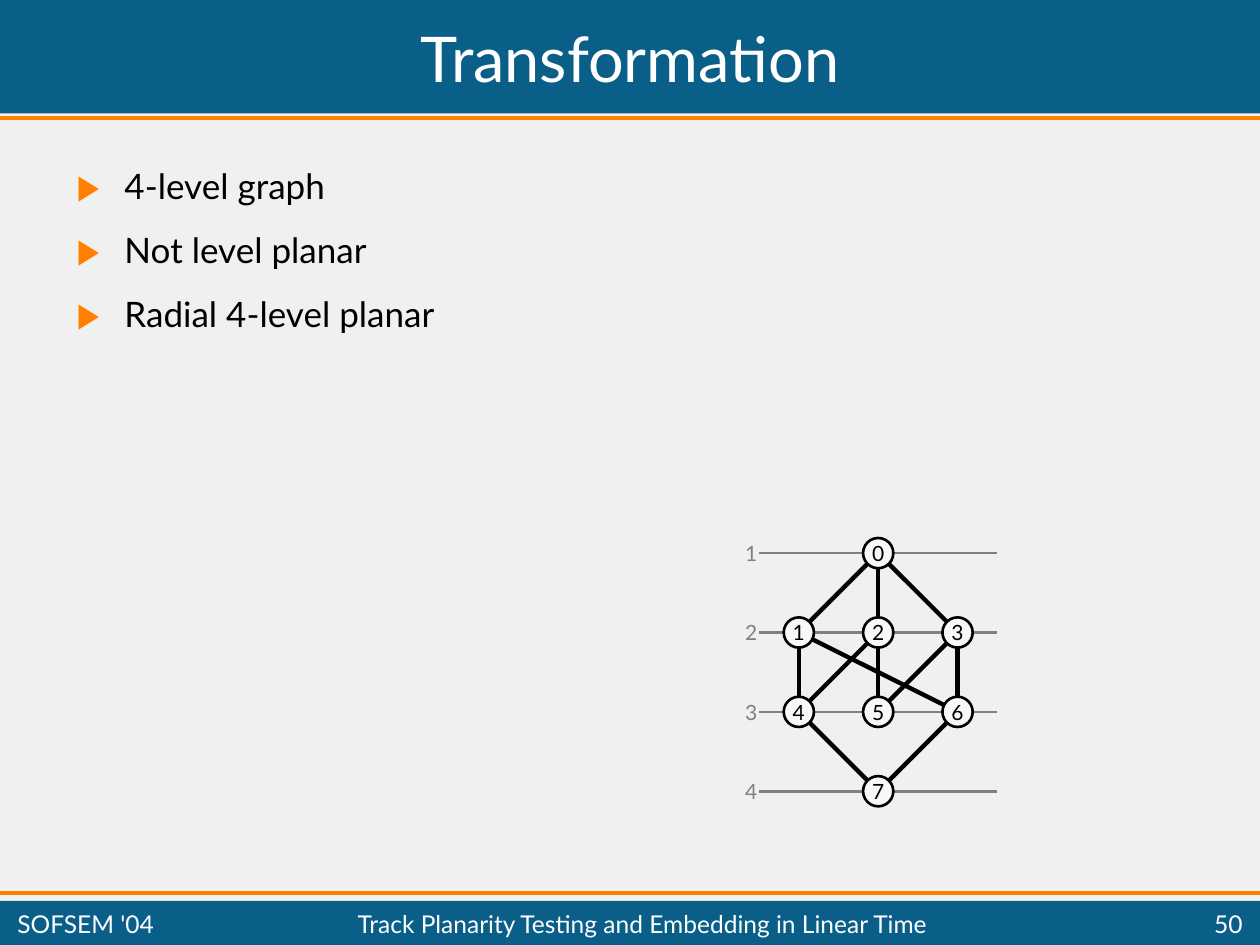
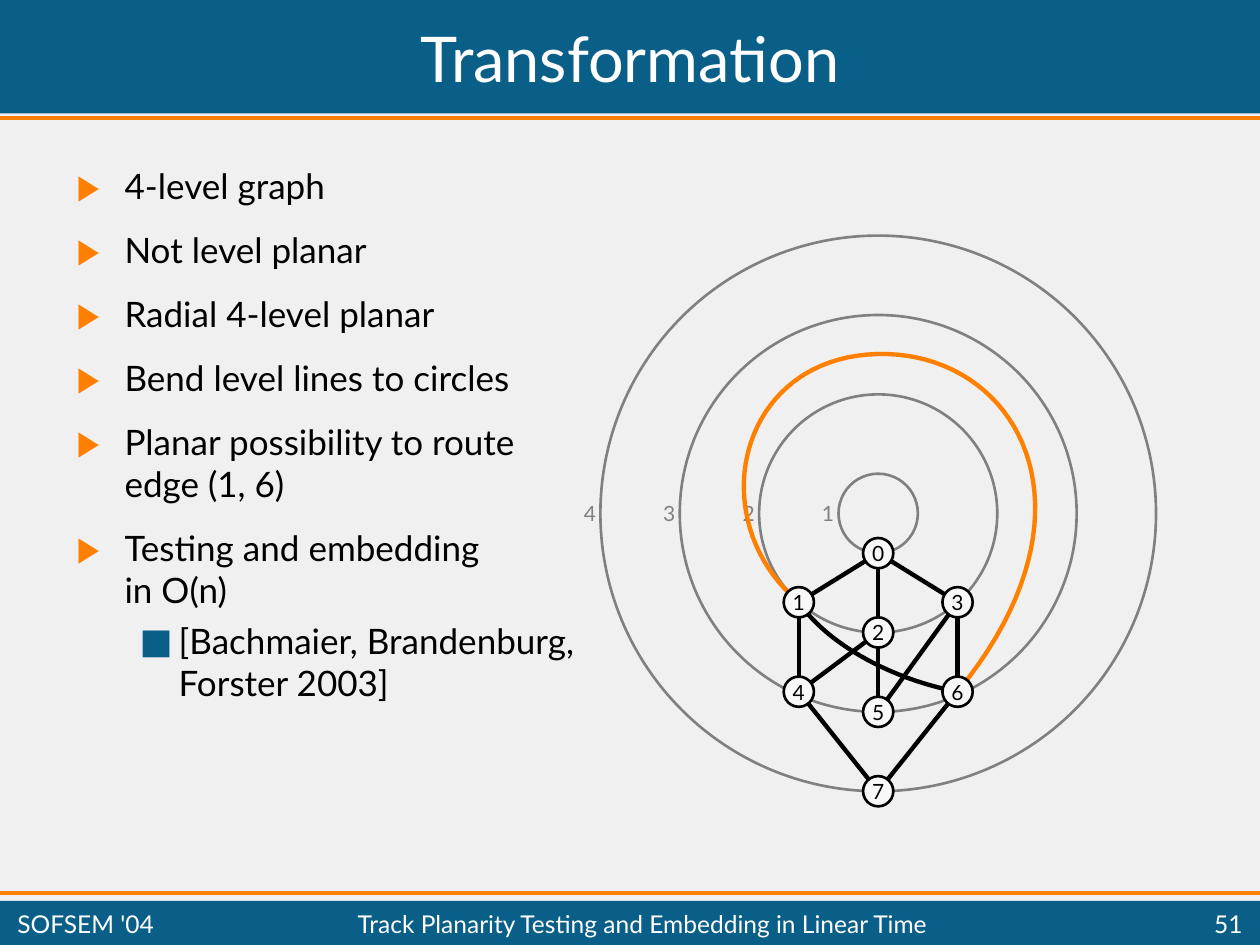
from lxml import etree
from pptx import Presentation
from pptx.dml.color import RGBColor
from pptx.enum.shapes import MSO_CONNECTOR, MSO_SHAPE
from pptx.enum.text import MSO_ANCHOR, PP_ALIGN
from pptx.oxml.ns import qn
from pptx.util import Inches, Pt

LEFT, CENTER, RIGHT = PP_ALIGN.LEFT, PP_ALIGN.CENTER, PP_ALIGN.RIGHT
TOP, MIDDLE = MSO_ANCHOR.TOP, MSO_ANCHOR.MIDDLE
RECT, OVAL = MSO_SHAPE.RECTANGLE, MSO_SHAPE.OVAL
STRAIGHT = MSO_CONNECTOR.STRAIGHT

FONT = "Lato"
BLUE, ORANGE, GREY = "0A5F89", "FF7F00", "808080"
BLACK, WHITE, PAPER, NODE_FILL = "000000", "FFFFFF", "F0F0F0", "F8F8F8"
THIN, RULE, THICK = 1.5, 2.25, 2.5

PAGE_WIDTH, PAGE_HEIGHT = 10, 7.5
STEP = 0.63           # distance between neighbouring levels and columns
NODE_SIZE = 0.24
AXIS, APEX = 6.97, 4.39   # where node 0 sits
LABEL_WIDTH, LABEL_HEIGHT = 0.29, 0.3

# Per bullet level: sign, colour, left margin, hanging indent, space before
BULLETS = [("▶", ORANGE, 0.38, 0.38, 12.5), ("■", BLUE, 0.81, 0.31, 5)]

POINTS = [(0, "4-level graph"), (0, "Not level planar"), (0, "Radial 4-level planar")]
RADIAL_POINTS = POINTS + [
    (0, "Bend level lines to circles"),
    (0, "Planar possibility to route edge (1, 6)"),
    (0, "Testing and embedding\nin O(n)"),
    (1, "[Bachmaier, Brandenburg, Forster 2003]"),
]

EDGES = [(0, 1), (0, 2), (0, 3), (1, 4), (2, 4), (2, 5), (3, 5), (3, 6), (4, 7), (6, 7)]
CROSSING_EDGE = (1, 6)
# (column, level) of each node, counted from node 0
GRID = [(0, 0), (-1, 1), (0, 1), (1, 1), (-1, 2), (0, 2), (1, 2), (0, 3)]
FLAT_NODES = [(AXIS + column * STEP, APEX + level * STEP) for column, level in GRID]
# The outer columns move up when the levels are bent
BENT_HEIGHTS = {1: 4.78, 3: 4.78, 4: 5.49, 6: 5.49}
BENT_NODES = [(x, BENT_HEIGHTS.get(node, y)) for node, (x, y) in enumerate(FLAT_NODES)]


def color(value):
    return RGBColor.from_string(value)


def write(shape, text, size=12, ink=BLACK, align=LEFT, anchor=TOP, wrap=True, inset=(0.1, 0.05)):
    """Put text into a shape, one paragraph for each item of a list."""
    frame = shape.text_frame
    frame.word_wrap = wrap
    frame.vertical_anchor = anchor
    frame.margin_left = frame.margin_right = Inches(inset[0])
    frame.margin_top = frame.margin_bottom = Inches(inset[1])
    for number, line in enumerate([text] if isinstance(text, str) else text):
        para = frame.add_paragraph() if number else frame.paragraphs[0]
        para.text = line
        para.alignment = align
        for span in para.runs:
            span.font.name = FONT
            span.font.size = Pt(size)
            span.font.color.rgb = color(ink)
    return frame.paragraphs


def add_text(page, box, text, **style):
    return write(page.shapes.add_textbox(*map(Inches, box)), text, **style)


def add_shape(page, kind, box, fill=None, line=None, width=THIN):
    shape = page.shapes.add_shape(kind, *map(Inches, box))
    paint(shape, fill, line, width)
    return shape


def paint(shape, fill, line, width):
    shape.shadow.inherit = False
    if fill:
        shape.fill.solid()
        shape.fill.fore_color.rgb = color(fill)
    else:
        shape.fill.background()
    if line:
        shape.line.color.rgb = color(line)
        shape.line.width = Pt(width)
    else:
        shape.line.fill.background()


def add_line(page, start, end, ink, width):
    line = page.shapes.add_connector(STRAIGHT, *map(Inches, (*start, *end)))
    line.line.color.rgb = color(ink)
    line.line.width = Pt(width)
    etree.SubElement(line._element.spPr, qn("a:effectLst"))


def add_curve(page, start, pieces, ink, samples=40):
    """Draw cubic pieces, each given by two control points and an end point."""
    points, origin = [], start
    for controls in pieces:
        corners = (origin, *controls)
        for step in range(1, samples + 1):
            t = step / samples
            weights = ((1 - t) ** 3, 3 * t * (1 - t) ** 2, 3 * t * t * (1 - t), t ** 3)
            points.append([Inches(sum(w * corner[axis] for w, corner in zip(weights, corners)))
                           for axis in (0, 1)])
        origin = controls[-1]
    builder = page.shapes.build_freeform(Inches(start[0]), Inches(start[1]))
    builder.add_line_segments(points, close=False)
    paint(builder.convert_to_shape(), None, ink, THICK)


def add_bullet(para, level):
    sign, ink, margin, hanging, space = BULLETS[level]
    props = para._p.get_or_add_pPr()
    props.set("marL", str(Inches(margin)))
    props.set("indent", str(-Inches(hanging)))
    tint = etree.SubElement(props, qn("a:buClr"))
    etree.SubElement(tint, qn("a:srgbClr"), val=ink)
    etree.SubElement(props, qn("a:buFont"), typeface=FONT)
    etree.SubElement(props, qn("a:buChar"), char=sign)
    para.level = level
    return space


def add_points(page, box, points):
    paras = add_text(page, box, [text for _, text in points], size=20)
    for number, (para, (level, _)) in enumerate(zip(paras, points)):
        space = add_bullet(para, level)
        if number:
            para.space_before = Pt(space)


def add_frame(page, title, number):
    """Add the bands, rules, title and footer that every slide has."""
    for top, height, rule in ((0, 0.9, 0.94), (7.15, 0.35, 7.09)):
        add_shape(page, RECT, (0, top, PAGE_WIDTH, height), fill=BLUE)
        add_line(page, (0, rule), (PAGE_WIDTH, rule), ORANGE, RULE)
    add_text(page, (0.04, 0.04, 9.92, 0.83), title, size=36, ink=WHITE,
             align=CENTER, anchor=MIDDLE)
    for left, width, text, align in (
        (0.04, 1.44, "SOFSEM '04", LEFT),
        (1.5, 7.2, "Track Planarity Testing and Embedding in Linear Time", CENTER),
        (8.78, 1.18, str(number), RIGHT),
    ):
        add_text(page, (left, 7.19, width, 0.28), text, size=14, ink=WHITE,
                 align=align, anchor=MIDDLE)


def add_level_label(page, left, middle, level):
    add_text(page, (left, middle - LABEL_HEIGHT / 2, LABEL_WIDTH, LABEL_HEIGHT),
             str(level), ink=GREY, wrap=False)


def add_level_lines(page):
    left, right = AXIS - 1.5 * STEP, AXIS + 1.5 * STEP
    for level in range(4):
        height = APEX + level * STEP
        add_level_label(page, left - 0.21, height, level + 1)
        add_line(page, (left, height), (right, height), GREY, THIN)


def add_level_circles(page):
    middle = APEX - STEP / 2
    for level in range(4):
        radius = (level + 0.5) * STEP
        add_level_label(page, AXIS - radius - 0.23, middle, level + 1)
        add_shape(page, OVAL, (AXIS - radius, middle - radius, 2 * radius, 2 * radius), line=GREY)


def add_edges(page, nodes, edges):
    for start, end in edges:
        add_line(page, nodes[start], nodes[end], BLACK, THICK)


def add_nodes(page, nodes):
    for number, (x, y) in enumerate(nodes):
        node = add_shape(page, OVAL, (x - NODE_SIZE / 2, y - NODE_SIZE / 2, NODE_SIZE, NODE_SIZE),
                         fill=NODE_FILL, line=BLACK)
        write(node, str(number), align=CENTER, anchor=MIDDLE, wrap=False, inset=(0, 0))


def add_level_slide(page):
    add_frame(page, "Transformation", 50)
    add_points(page, (0.51, 1.26, 3.7, 5.48), POINTS)
    add_level_lines(page)
    add_edges(page, FLAT_NODES, EDGES + [CROSSING_EDGE])
    add_nodes(page, FLAT_NODES)


def add_radial_slide(page):
    add_frame(page, "Transformation", 51)
    add_points(page, (0.51, 1.26, 4.31, 5.48), RADIAL_POINTS)
    add_level_circles(page)
    add_edges(page, BENT_NODES, EDGES)
    start, end = (BENT_NODES[node] for node in CROSSING_EDGE)
    add_curve(page, start, [((6.59, 5.14), (7.12, 5.4), end)], BLACK)
    add_curve(page, start, [((5.56, 4.12), (5.86, 2.84), (6.96, 2.81)),
                            ((8.06, 2.78), (8.8, 4.03), end)], ORANGE)
    add_nodes(page, BENT_NODES)


def main():
    deck = Presentation()
    deck.slide_width, deck.slide_height = Inches(PAGE_WIDTH), Inches(PAGE_HEIGHT)
    backdrop = deck.slide_master.background.fill
    backdrop.solid()
    backdrop.fore_color.rgb = color(PAPER)
    for build in (add_level_slide, add_radial_slide):
        build(deck.slides.add_slide(deck.slide_layouts[6]))
    deck.save("out.pptx")


if __name__ == "__main__":
    main()
